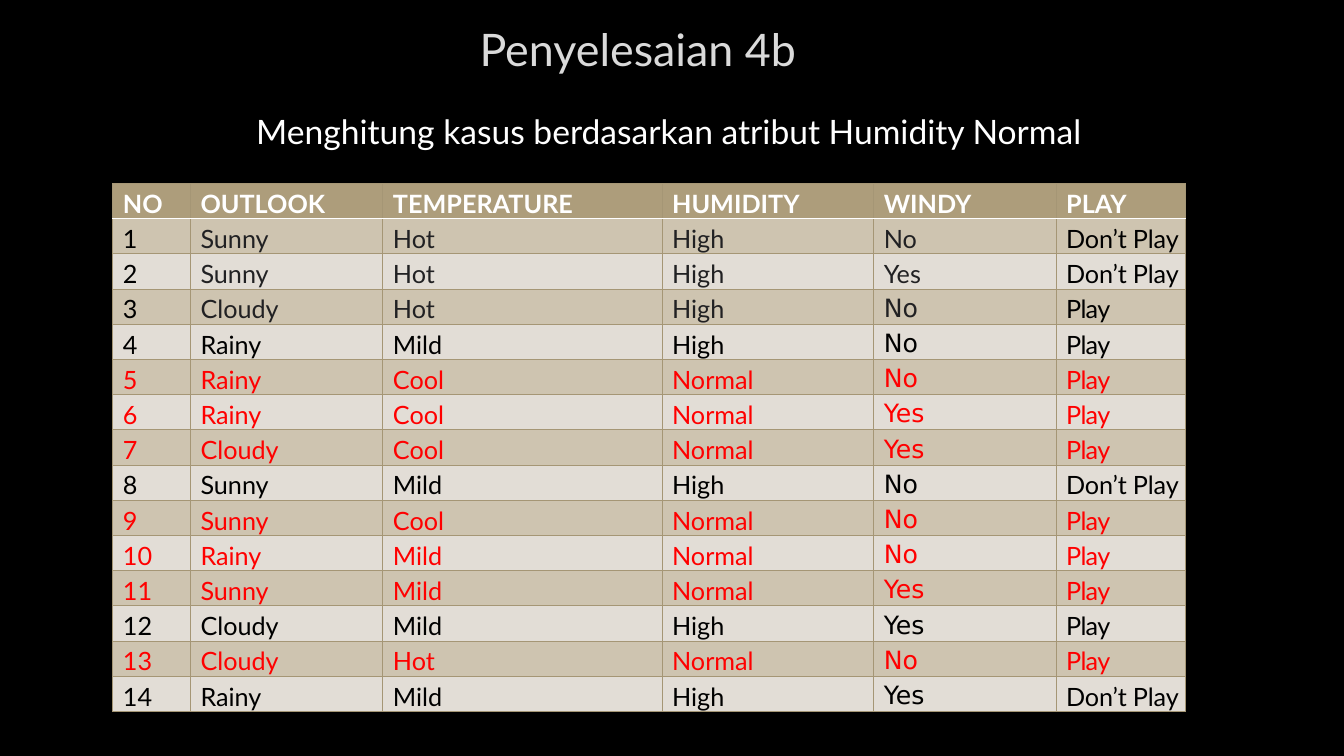
import pptx
import pptx.dml.color
import pptx.enum.text
import pptx.oxml.ns
import pptx.util
from lxml import etree

Pt = pptx.util.Pt
RGBColor = pptx.dml.color.RGBColor
PP_ALIGN = pptx.enum.text.PP_ALIGN
MSO_ANCHOR = pptx.enum.text.MSO_ANCHOR

TITLE = "Penyelesaian 4b"
SUBTITLE = "Menghitung kasus berdasarkan atribut Humidity Normal"
HEADER = ("NO", "OUTLOOK", "TEMPERATURE", "HUMIDITY", "WINDY", "PLAY")
CASES = [
    ("Sunny", "Hot", "High", "No", "Don’t Play"),
    ("Sunny", "Hot", "High", "Yes", "Don’t Play"),
    ("Cloudy", "Hot", "High", "No", "Play"),
    ("Rainy", "Mild", "High", "No", "Play"),
    ("Rainy", "Cool", "Normal", "No", "Play"),
    ("Rainy", "Cool", "Normal", "Yes", "Play"),
    ("Cloudy", "Cool", "Normal", "Yes", "Play"),
    ("Sunny", "Mild", "High", "No", "Don’t Play"),
    ("Sunny", "Cool", "Normal", "No", "Play"),
    ("Rainy", "Mild", "Normal", "No", "Play"),
    ("Sunny", "Mild", "Normal", "Yes", "Play"),
    ("Cloudy", "Mild", "High", "Yes", "Play"),
    ("Cloudy", "Hot", "Normal", "No", "Play"),
    ("Rainy", "Mild", "High", "Yes", "Don’t Play"),
]

BLACK = RGBColor(0x00, 0x00, 0x00)
WHITE = RGBColor(0xFF, 0xFF, 0xFF)
SILVER = RGBColor(0xDA, 0xDA, 0xDA)
CHARCOAL = RGBColor(0x21, 0x21, 0x23)
RED = RGBColor(0xFF, 0x00, 0x00)
HEADER_FILL = RGBColor(0xAD, 0x9D, 0x7B)
ODD_FILL = RGBColor(0xCE, 0xC4, 0xB0)
EVEN_FILL = RGBColor(0xE2, 0xDD, 0xD6)
BORDER = RGBColor(0xA5, 0x96, 0x75)

FONT = "Lato"
WINDY_FONT = "DejaVu Sans"
LEFT = 80.64
TABLE_TOP = 131.04
COLUMN_WIDTHS = (55.4, 137.5, 199.4, 151.2, 130.3, 92.2)
ROW_HEIGHT = 25.15
WINDY, PLAY = HEADER.index("WINDY"), HEADER.index("PLAY")


def add_span(para, text, size, color, font=FONT, bold=False):
    span = para.add_run()
    span.text = text
    span.font.size = Pt(size)
    span.font.name = font
    span.font.bold = bold
    span.font.color.rgb = color
    return span


def fill_frame(frame, text, size, color, anchor):
    frame.word_wrap = True
    frame.vertical_anchor = anchor
    para = frame.paragraphs[0]
    para.alignment = PP_ALIGN.CENTER
    add_span(para, text, size, color)


def add_border(cell, side, color, width):
    qn = pptx.oxml.ns.qn
    properties = cell._tc.get_or_add_tcPr()
    line = etree.SubElement(properties, qn(f"a:ln{side}"), w=str(Pt(width)))
    solid = etree.SubElement(line, qn("a:solidFill"))
    etree.SubElement(solid, qn("a:srgbClr"), val=str(color))


def text_color(number, column):
    if number == 0:
        return WHITE
    if "Normal" in CASES[number - 1]:
        return RED
    return CHARCOAL if number <= 3 and 0 < column < PLAY else BLACK


def fill_cell(cell, number, column, text):
    cell.margin_left = Pt(7.2)
    cell.margin_top = Pt(3.5)
    cell.margin_right = cell.margin_bottom = Pt(0)
    white_side = {0: "B", 1: "T"}.get(number)
    for side in "LRTB":
        if side == white_side:
            add_border(cell, side, WHITE, 1.25)
        else:
            add_border(cell, side, BORDER, 0.75)
    cell.fill.solid()
    if number == 0:
        cell.fill.fore_color.rgb = HEADER_FILL
    else:
        cell.fill.fore_color.rgb = ODD_FILL if number % 2 else EVEN_FILL
    font = WINDY_FONT if column == WINDY and number >= 3 else FONT
    span = add_span(cell.text_frame.paragraphs[0], text, 18,
                    text_color(number, column), font, number == 0)
    if text == "Play":
        span.font._element.set("spc", "-50")
    elif text == "Don’t Play":
        span.font._element.set("spc", "-10")


def main():
    deck = pptx.Presentation()
    deck.slide_width, deck.slide_height = Pt(960), Pt(540)
    page = deck.slides.add_slide(deck.slide_layouts[5])
    page.background.fill.solid()
    page.background.fill.fore_color.rgb = BLACK

    title = page.shapes.title
    title.left, title.top, title.width, title.height = Pt(LEFT), Pt(19), Pt(750), Pt(31)
    fill_frame(title.text_frame, TITLE, 32, SILVER, MSO_ANCHOR.MIDDLE)

    rows = [HEADER] + [(str(n), *case) for n, case in enumerate(CASES, 1)]
    table = page.shapes.add_table(
        len(rows), len(HEADER), Pt(LEFT), Pt(TABLE_TOP),
        Pt(sum(COLUMN_WIDTHS)), Pt(ROW_HEIGHT * len(rows))).table
    for column, width in zip(table.columns, COLUMN_WIDTHS):
        column.width = Pt(width)
    for number, row in enumerate(rows):
        table.rows[number].height = Pt(ROW_HEIGHT)
        for column, text in enumerate(row):
            fill_cell(table.cell(number, column), number, column, text)

    box = page.shapes.add_textbox(Pt(LEFT), Pt(75.6), Pt(794), Pt(36))
    fill_frame(box.text_frame, SUBTITLE, 24, WHITE, MSO_ANCHOR.TOP)

    deck.save("out.pptx")


if __name__ == "__main__":
    main()
